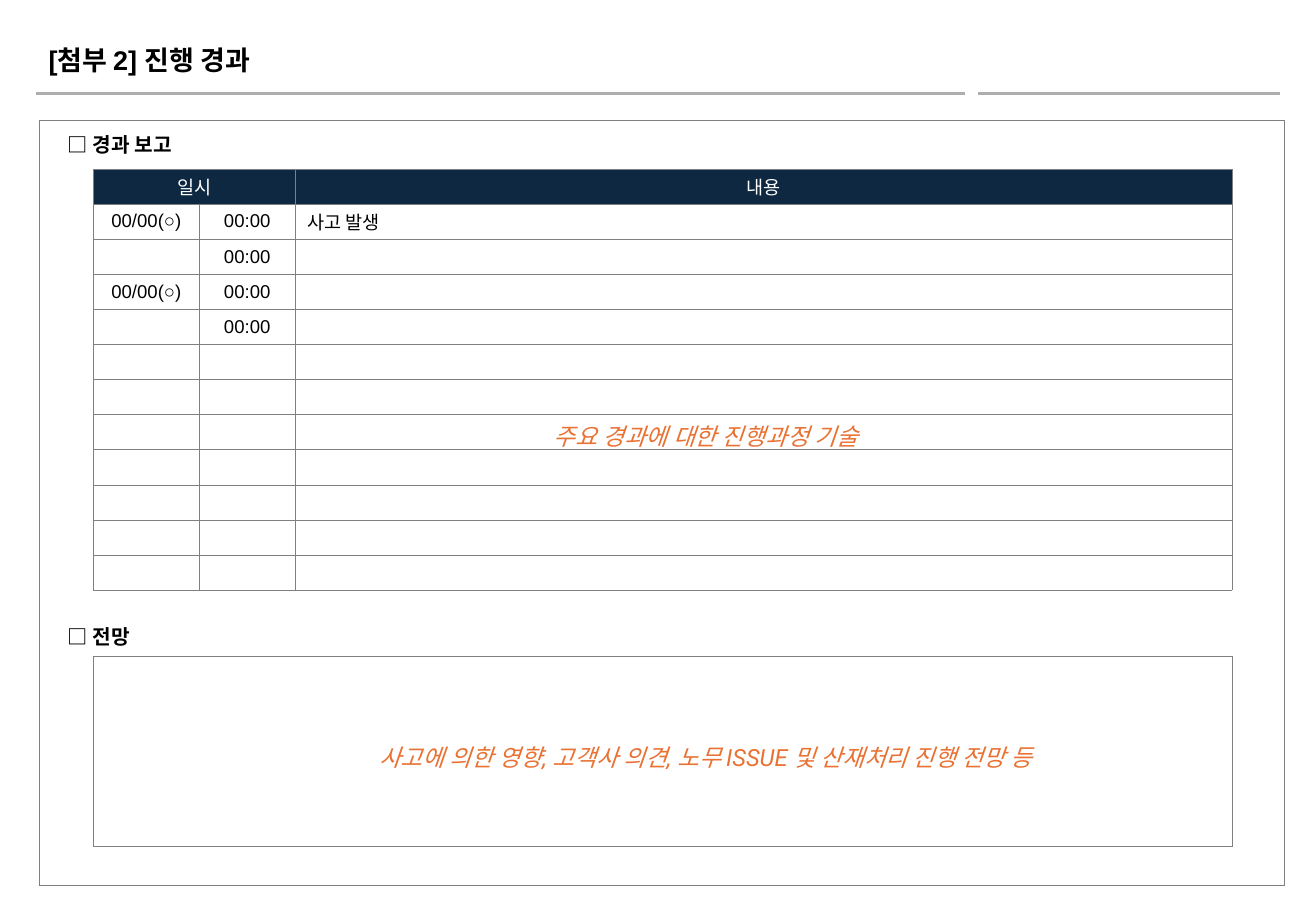
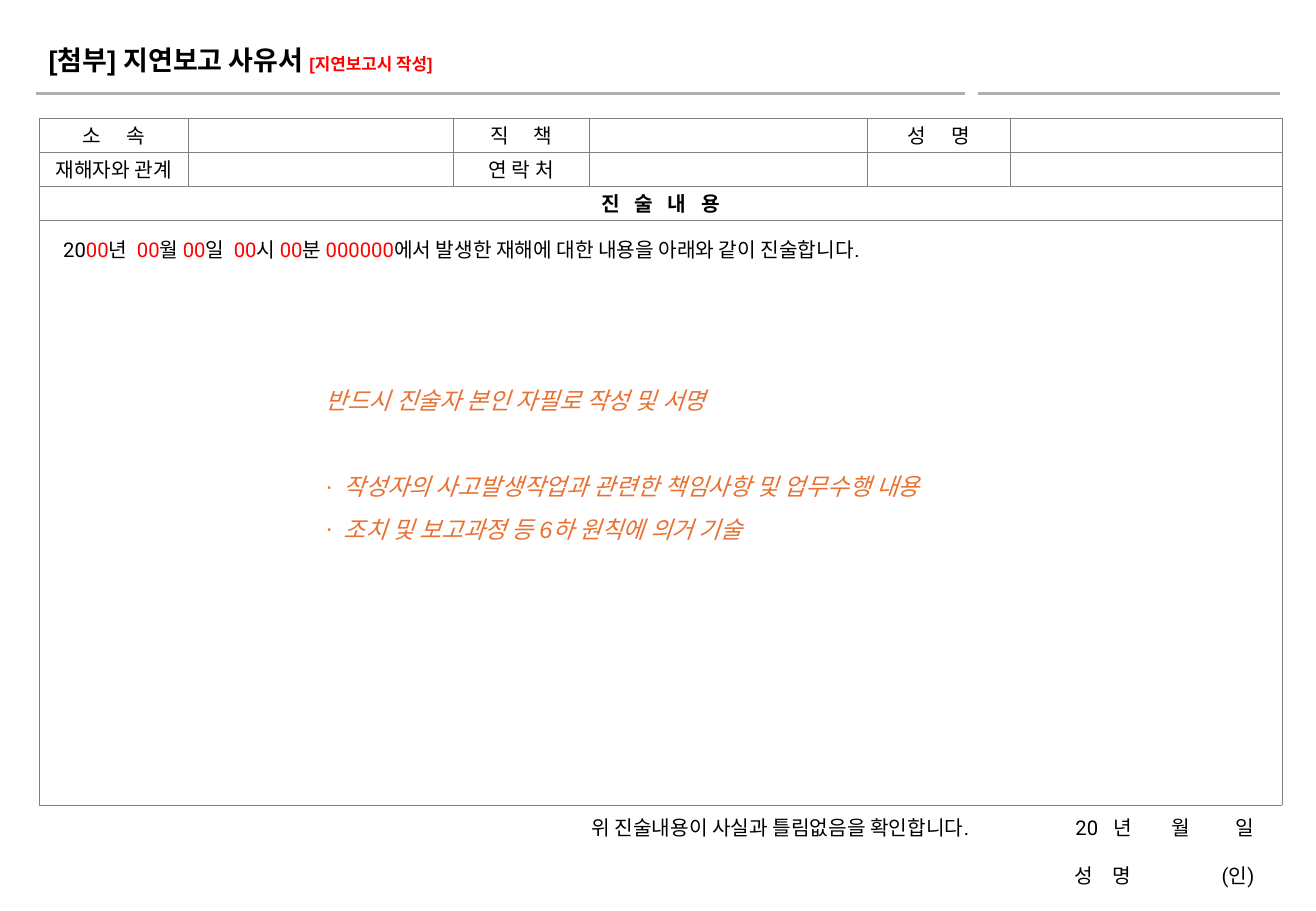
from lxml import etree
from pptx import Presentation
from pptx.dml.color import RGBColor
from pptx.enum.shapes import MSO_CONNECTOR
from pptx.enum.text import MSO_ANCHOR, MSO_AUTO_SIZE, PP_ALIGN
from pptx.oxml.ns import qn
from pptx.util import Inches, Pt

# Shared look
BLACK = RGBColor(0x00, 0x00, 0x00)
WHITE = RGBColor(0xFF, 0xFF, 0xFF)
NAVY = RGBColor(0x0E, 0x28, 0x41)
RED = RGBColor(0xFF, 0x00, 0x00)
ORANGE = RGBColor(0xE9, 0x71, 0x32)
RULE_GREY = RGBColor(0xAE, 0xAE, 0xAE)
BORDER_GREY = RGBColor(0x80, 0x80, 0x80)
SANS, BODY = "Arial", "Roboto"
FRAME_LEFT, FRAME_WIDTH = 0.32, 10.25
TABLE_LEFT, TABLE_WIDTH = 0.77, 9.37
SPACE_WIDTH = 3  # points, one space in 12 pt text


def gap(spaces):
    """One space, widened to the given number of spaces."""
    return " ", {"spacing": (spaces - 1) * SPACE_WIDTH}


def spread(text, spaces):
    """The words of a label, set apart by wide gaps."""
    items = []
    for word in text.split():
        items += [gap(spaces), word] if items else [word]
    return items


def red(text):
    return text, {"color": RED}


def write(para, items, **style):
    """Add each item, a text or a (text, changes) pair, as a run."""
    for item in items:
        text, changes = (item, {}) if isinstance(item, str) else item
        look = {"size": 12, "font": SANS, "color": BLACK, **style, **changes}
        span = para.add_run()
        span.text = text
        span.font.size = Pt(look["size"])
        span.font.name = look["font"]
        span.font.color.rgb = look["color"]
        span.font.bold = look.get("bold", False)
        span.font.italic = look.get("italic", False)
        if "spacing" in look:
            span._r.get_or_add_rPr().set("spc", str(look["spacing"] * 100))


def add_text(slide, at, lines, align=PP_ALIGN.LEFT, line_spacing=1.0, **style):
    box = slide.shapes.add_textbox(*map(Inches, at))
    frame = box.text_frame
    frame.word_wrap = True
    frame.auto_size = MSO_AUTO_SIZE.SHAPE_TO_FIT_TEXT
    for index, items in enumerate(lines):
        para = frame.add_paragraph() if index else frame.paragraphs[0]
        para.alignment = align
        para.line_spacing = line_spacing
        write(para, items, **style)
    return frame.paragraphs


def add_heading(slide, top, text):
    add_text(slide, (0.46, top, 6.98, 0.3), [[text]], bold=True)


def add_guide(slide, top, height, lines, font=BODY, align=PP_ALIGN.CENTER):
    """Orange hint that tells the writer what to fill in."""
    return add_text(slide, (2.58, top, 6.46, height), lines, align, 1.5,
                    size=14, font=font, color=ORANGE, italic=True)


def add_bullet(para, mark, indent):
    props = para._p.get_or_add_pPr()
    props.set("marL", str(Inches(indent)))
    props.set("indent", str(-Inches(indent)))
    etree.SubElement(props, qn("a:buFont"), typeface=SANS)
    etree.SubElement(props, qn("a:buChar"), char=mark)


def add_borders(cell):
    props = cell._tc.get_or_add_tcPr()
    for side in ("lnL", "lnR", "lnT", "lnB"):
        line = etree.SubElement(props, qn(f"a:{side}"), w=str(Pt(0.25)))
        fill = etree.SubElement(line, qn("a:solidFill"))
        etree.SubElement(fill, qn("a:srgbClr"), val=str(BORDER_GREY))


def set_fill(cell, color):
    if color is None:
        cell.fill.background()
    else:
        cell.fill.solid()
        cell.fill.fore_color.rgb = color


def add_grid(slide, left, top, widths, heights, fill=None, size=11):
    """Plain bordered table; its cells are written afterwards."""
    table = slide.shapes.add_table(
        len(heights), len(widths), Inches(left), Inches(top),
        Inches(sum(widths)), Inches(sum(heights))).table
    table.first_row = table.horz_banding = False
    for column, width in zip(table.columns, widths):
        column.width = Inches(width)
    for row, height in zip(table.rows, heights):
        row.height = Inches(height)
    for cell in table.iter_cells():
        add_borders(cell)
        set_fill(cell, fill)
        cell.vertical_anchor = MSO_ANCHOR.MIDDLE
        cell.margin_top = cell.margin_bottom = 0
        # Empty cells keep the row low as well
        etree.SubElement(cell.text_frame.paragraphs[0]._p,
                         qn("a:endParaRPr"), sz=str(size * 100))
    return table


def write_cell(cell, items, align=PP_ALIGN.CENTER, **style):
    para = cell.text_frame.paragraphs[0]
    para.alignment = align
    write(para, items, **style)
    return para


def add_page(deck, title_items):
    slide = deck.slides.add_slide(deck.slide_layouts[5])
    title = slide.shapes.title
    title.left, title.top, title.width, title.height = map(
        Inches, (0.3, 0.31, 7.13, 0.37))
    frame = title.text_frame
    frame.word_wrap = True
    frame.auto_size = MSO_AUTO_SIZE.SHAPE_TO_FIT_TEXT
    frame.vertical_anchor = MSO_ANCHOR.TOP
    frame.paragraphs[0].alignment = PP_ALIGN.LEFT
    write(frame.paragraphs[0], title_items, size=16, bold=True)

    # Two-part rule below the title
    for start, end in ((0.3, 7.94), (8.05, 10.53)):
        rule = slide.shapes.add_connector(
            MSO_CONNECTOR.STRAIGHT, Inches(start), Inches(0.77),
            Inches(end), Inches(0.77))
        rule.line.color.rgb = RULE_GREY
        rule.line.width = Pt(2)
        etree.SubElement(rule.element.spPr, qn("a:effectLst"))
    return slide


def build_progress(deck):
    slide = add_page(deck, ["[첨부 2] 진행 경과"])
    add_grid(slide, FRAME_LEFT, 0.99, [FRAME_WIDTH], [6.3], WHITE)

    # Progress log
    date_width, time_width = 0.87, 0.79
    widths = [date_width, time_width, TABLE_WIDTH - date_width - time_width]
    log = add_grid(slide, TABLE_LEFT, 1.39, widths, [3.47 / 12] * 12)
    log.cell(0, 0).merge(log.cell(0, 1))
    for column, label in ((0, "일시"), (2, "내용")):
        write_cell(log.cell(0, column), [label], size=11, color=WHITE)
    for column in range(3):
        set_fill(log.cell(0, column), NAVY)
    for row in range(1, 5):
        if row % 2:
            write_cell(log.cell(row, 0), ["00/00(○)"], size=11)
        write_cell(log.cell(row, 1), ["00:00"], size=11)
    write_cell(log.cell(1, 2), ["사고 발생"], PP_ALIGN.LEFT, size=11)

    # Outlook
    add_heading(slide, 1.04, "□ 경과 보고")
    add_heading(slide, 5.09, "□ 전망")
    add_grid(slide, TABLE_LEFT, 5.4, [TABLE_WIDTH], [1.57])
    add_guide(slide, 3.31, 0.41, [["주요 경과에 대한 진행과정 기술"]])
    add_guide(slide, 5.95, 0.41, [[
        "사고에 의한 영향, 고객사 의견, 노무 ISSUE 및 산재처리 진행 전망 등"]])


def build_delay_statement(deck):
    slide = add_page(deck, [
        "[첨부] 지연보고 사유서 ",
        ("[지연보고시 작성]", {"size": 10, "color": RED})])

    # Confirmation and signature
    add_text(slide, (0.7, 6.46, 9.72, 0.91), [
        ["위 진술내용이 사실과 틀림없음을 확인합니다.", gap(21), "20", gap(3),
         "년", gap(8), "월", gap(9), "일"],
        ["성", gap(4), "명", gap(18), "(인)"],
    ], PP_ALIGN.RIGHT, 2.0, font=BODY)

    # Form
    form = add_grid(slide, FRAME_LEFT, 0.97,
                    [1.23, 2.18, 1.12, 2.29, 1.17, 2.24],
                    [0.28, 0.28, 0.28, 4.82], WHITE, 12)
    for cell in form.iter_cells():
        cell.margin_left = cell.margin_right = 0
    for row in (2, 3):
        form.cell(row, 0).merge(form.cell(row, 5))
    labels = {
        (0, 0): spread("소 속", 5),
        (0, 2): spread("직 책", 5),
        (0, 4): spread("성 명", 5),
        (1, 0): ["재해자와 관계"],
        (1, 2): ["연 락 처"],
    }
    for place, items in labels.items():
        write_cell(form.cell(*place), items, font=BODY)
    write_cell(form.cell(2, 0), spread("진 술 내 용", 3), font=BODY, bold=True)

    statement = form.cell(3, 0)
    statement.vertical_anchor = MSO_ANCHOR.TOP
    statement.margin_left = Inches(0.2)
    para = write_cell(statement, [
        "20", red("00"), "년", gap(2), red("00"), "월 ", red("00"), "일",
        gap(2), red("00"), "시 ", red("00"), "분 ", red("000000"),
        "에서 발생한 재해에 대한 내용을 아래와 같이 진술합니다.",
    ], PP_ALIGN.LEFT, font=BODY)
    para.line_spacing = 1.5

    # Writing guide
    lead, *points = add_guide(slide, 3.01, 1.51, [
        ["반드시 진술자 본인 자필로 작성 및 서명"],
        ["작성자의 사고발생작업과 관련한 책임사항 및 업무수행 내용"],
        ["조치 및 보고과정 등 6하 원칙에 의거 기술"],
    ], SANS, PP_ALIGN.LEFT)
    lead.space_after = Pt(26)
    for point in points:
        add_bullet(point, "·", 0.15)


def main():
    deck = Presentation()
    deck.slide_width, deck.slide_height = Inches(10.83), Inches(7.5)
    build_progress(deck)
    build_delay_statement(deck)
    deck.save("out.pptx")


if __name__ == "__main__":
    main()
